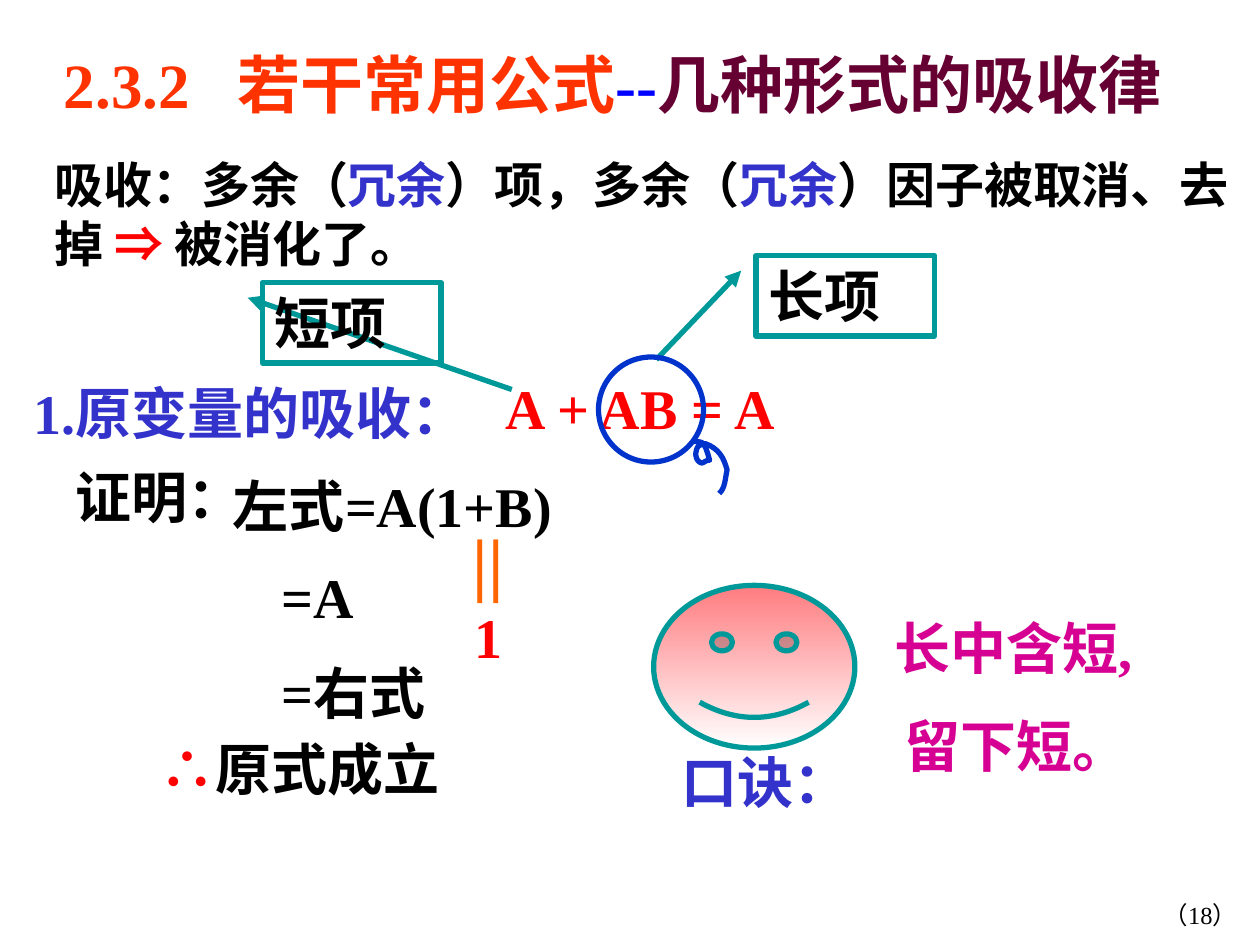
from lxml import etree
from pptx import Presentation
from pptx.dml.color import RGBColor
from pptx.enum import shapes, text
from pptx.oxml import ns
from pptx.util import Pt

COLORS = {
    "black": "000000", "indigo": "3333CC", "red": "FF0000", "magenta": "D60093",
    "teal": "009999", "blue": "0033CC", "orange": "FF6600", "title": "FF3300",
    "dash": "0000FF", "plum": "660033", "pink": "FF7C80", "white": "FFFFFF",
}
SERIF = "Times New Roman"
SYMBOL = "Arial"
TAIL_CURVES = [
    [(2, 0.7), (4, 0), (6, 1.5)],
    [(8, 4.5), (9.5, 11), (9.5, 11)],
    [(7, 11), (6, 13), (4.5, 12.5)],
    [(1, 11), (1, 6), (3, 3)],
    [(4.5, 2), (6, 2), (7, 1.5)],
    [(15, 4.5), (17.5, 9.5), (19.5, 16.5)],
    [(18.5, 21), (18.5, 27), (15, 30)],
]


def color(name):
    return RGBColor.from_string(COLORS[name])


def points(*values):
    return [Pt(value) for value in values]


def add_runs(paragraph, runs, size=32, bold=True):
    for content, color_name, *font in runs:
        run = paragraph.add_run()
        run.text = content
        run.font.size = Pt(size)
        run.font.bold = bold
        run.font.name = font[0] if font else SERIF
        run.font.color.rgb = color(color_name)


def add_label(parent, left, top, width, height, runs, size=32, bold=True):
    label = parent.add_textbox(*points(left, top, width, height))
    frame = label.text_frame
    frame.word_wrap = True
    frame.auto_size = text.MSO_AUTO_SIZE.SHAPE_TO_FIT_TEXT
    add_runs(frame.paragraphs[0], runs, size, bold)
    return frame


def style_outline(shape, color_name):
    shape.shadow.inherit = False
    shape.fill.background()
    shape.line.color.rgb = color(color_name)
    shape.line.width = Pt(3)


def add_title(slide, left, top, width, height):
    frame = add_label(slide.shapes, left, top, width, height, [
        ("2.3.2\t若干常用公式", "title"), ("--", "dash"), ("几种形式的吸收律", "plum"),
    ], 36)
    properties = frame.paragraphs[0]._p.get_or_add_pPr()
    tabs = etree.SubElement(properties, ns.qn("a:tabLst"))
    etree.SubElement(tabs, ns.qn("a:tab"), pos=str(Pt(99)), algn="l")


def add_introduction(slide, left, top, width, height):
    add_label(slide.shapes, left, top, width, height, [
        ("吸收：多余（", "black"), ("冗余", "indigo"), ("）项，多余（", "black"),
        ("冗余", "indigo"), ("）因子被取消、去掉 ", "black"),
        ("⇒", "red", SYMBOL), (" 被消化了。", "black"),
    ], 28)


def add_callout(slide, left, top, content, end_y, end_x):
    callout = slide.shapes.add_shape(
        shapes.MSO_SHAPE.LINE_CALLOUT_1, *points(left, top, 102, 46))
    for index, value in enumerate((0.188, -0.083, end_y, end_x)):
        callout.adjustments[index] = value
    style_outline(callout, "teal")
    line = callout.line._get_or_add_ln()
    etree.SubElement(line, ns.qn("a:headEnd"), type="triangle")
    frame = callout.text_frame
    frame.word_wrap = True
    frame.vertical_anchor = text.MSO_ANCHOR.TOP
    frame.paragraphs[0].alignment = text.PP_ALIGN.LEFT
    add_runs(frame.paragraphs[0], [(content, "black")])


def curve_points(start, curves, steps=8):
    for first, second, end in curves:
        for step in range(1, steps + 1):
            t = step / steps
            weights = ((1 - t) ** 3, 3 * t * (1 - t) ** 2, 3 * t * t * (1 - t), t ** 3)
            corners = (start, first, second, end)
            yield tuple(sum(w * corner[axis] for w, corner in zip(weights, corners))
                        for axis in (0, 1))
        start = end


def add_lasso(slide, left, top, size):
    group = slide.shapes.add_group_shape().shapes
    loop = group.add_shape(shapes.MSO_SHAPE.OVAL, *points(left, top, size, size))
    style_outline(loop, "blue")
    builder = group.build_freeform(0, 0, scale=Pt(1) / 100)
    builder = group.build_freeform(0, 0, scale=Pt(0.01))
    builder.add_line_segments(
        [(x * 100, y * 100) for x, y in curve_points((0, 0), TAIL_CURVES)], close=False)
    tail = builder.convert_to_shape(*points(left + 0.9 * size, top + 0.8 * size))
    style_outline(tail, "blue")


def add_formula(slide, left, top):
    add_label(slide.shapes, left, top + 2.5, 324, 46, [("1.原变量的吸收：", "indigo")])
    add_label(slide.shapes, left + 270, top, 210, 46, [("A + AB = A", "red")])
    add_callout(slide, left + 420, top - 64, "长项", 1.294, -0.559)
    add_callout(slide, left + 138, top - 48.5, "短项", 1.328, 1.397)
    add_lasso(slide, left + 330, top - 6, 60)


def add_proof(slide, left, top):
    add_label(slide.shapes, left, top, 126, 46, [("证明：", "black")])
    frame = add_label(slide.shapes, left + 90, top + 9.5, 294, 42,
                      [("左式=A(1+B)", "black")])
    frame.paragraphs[0].line_spacing = 0.9
    steps = add_label(slide.shapes, left + 86, top + 62, 270, 96, [("=A", "black")])
    result = steps.add_paragraph()
    result.space_before = Pt(20)
    add_runs(result, [("=右式", "black")])
    for paragraph in steps.paragraphs:
        paragraph.line_spacing = 0.9
        paragraph._p.get_or_add_pPr().set("marL", str(Pt(32)))
    group = slide.shapes.add_group_shape().shapes
    add_label(group, left + 228, top + 80, 52.5, 46, [("1", "red")])
    add_label(group, left + 227, top + 32, 70.5, 55.5, [("||", "orange")], 40)
    add_label(slide.shapes, left + 48, top + 155.5, 198, 46,
              [("∴", "red", SYMBOL), ("原式成立", "black")])


def add_mnemonic(slide, left, top):
    group = slide.shapes.add_group_shape().shapes
    add_label(group, left + 9, top + 89, 114, 46, [("口诀：", "indigo")])
    smiley = group.add_shape(shapes.MSO_SHAPE.SMILEY_FACE, *points(left, top, 115, 93))
    style_outline(smiley, "teal")
    smiley.fill.gradient()
    smiley.fill.gradient_angle = 270
    for stop, name in zip(smiley.fill.gradient_stops, ("pink", "white")):
        stop.color.rgb = color(name)
    add_label(slide.shapes, left + 130.5, top + 12.5, 198, 46, [("长中含短,", "magenta")])
    add_label(slide.shapes, left + 136.5, top + 68.5, 174, 46, [("留下短。", "magenta")])


def add_page_number(slide, left, top, width, height):
    frame = add_label(slide.shapes, left, top, width, height,
                      [("（18）", "black")], 14, False)
    frame.paragraphs[0].alignment = text.PP_ALIGN.RIGHT


def main():
    presentation = Presentation()
    presentation.slide_width, presentation.slide_height = points(720, 540)
    slide = presentation.slides.add_slide(presentation.slide_layouts[6])
    add_page_number(slide, 564, 511, 150, 36)
    add_introduction(slide, 24, 85, 696, 75)
    add_formula(slide, 12, 210)
    add_proof(slide, 36, 260.5)
    add_mnemonic(slide, 373.5, 334.5)
    add_title(slide, 29.5, 22.5, 659.5, 50)
    presentation.save("out.pptx")


if __name__ == "__main__":
    main()
